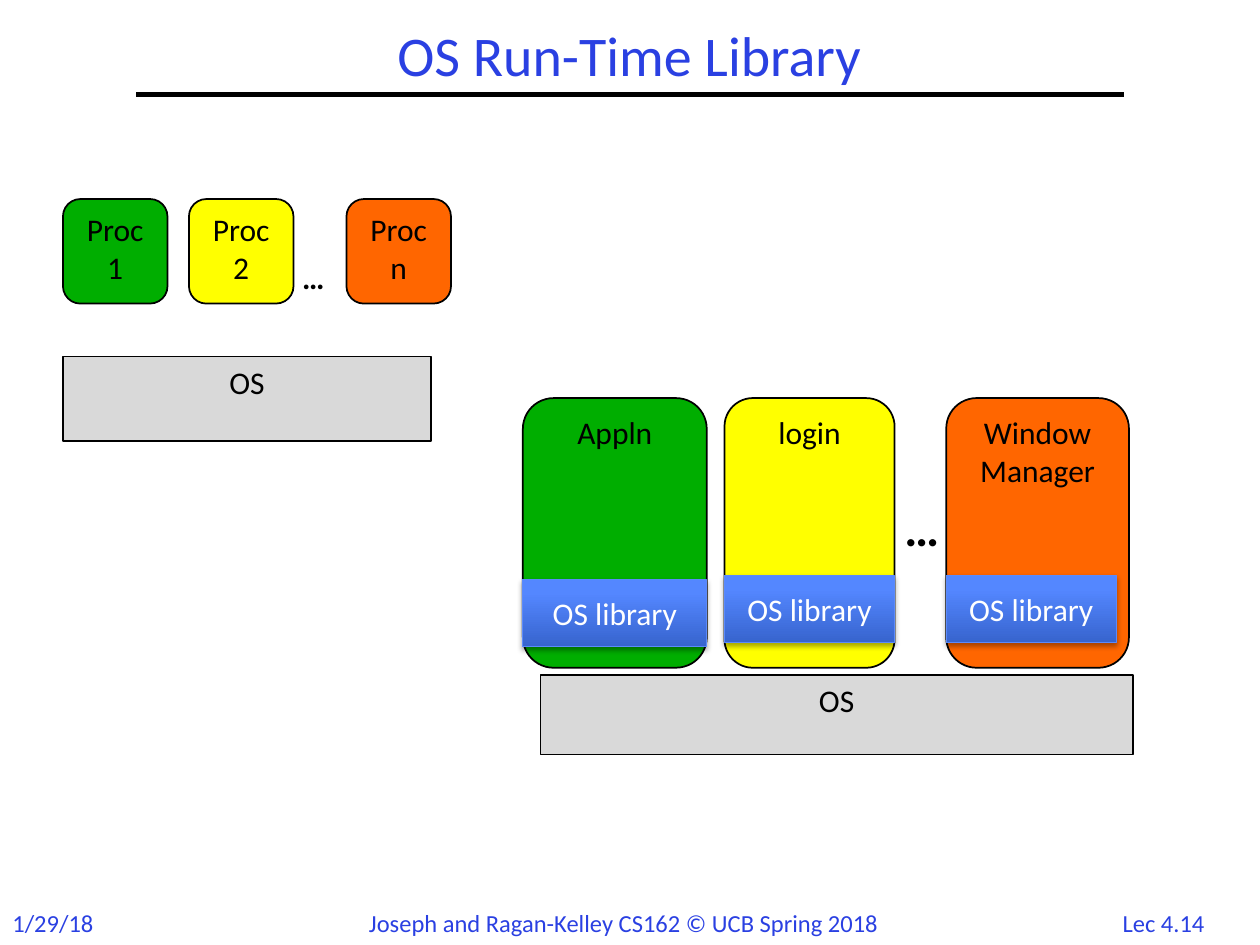
from lxml import etree
from pptx import Presentation
from pptx.dml.color import RGBColor
from pptx.enum.shapes import MSO_CONNECTOR, MSO_SHAPE
from pptx.enum.text import MSO_ANCHOR, PP_ALIGN
from pptx.oxml import parse_xml
from pptx.oxml.ns import nsdecls, qn
from pptx.util import Inches, Pt

RECTANGLE, ROUNDED = MSO_SHAPE.RECTANGLE, MSO_SHAPE.ROUNDED_RECTANGLE
TOP, MIDDLE = MSO_ANCHOR.TOP, MSO_ANCHOR.MIDDLE
LEFT, CENTER = PP_ALIGN.LEFT, PP_ALIGN.CENTER
STRAIGHT = MSO_CONNECTOR.STRAIGHT

COLORS = {name: RGBColor.from_string(value) for name, value in {
    "heading": "2A40E2", "black": "000000", "white": "FFFFFF",
    "gray": "D9D9D9", "green": "00AE00", "yellow": "FFFF00", "orange": "FF6600",
    "library dark": "3764CE", "library light": "5487FF", "library line": "5B8AFB",
}.items()}
SHADOW = (
    f'<a:outerShdw {nsdecls("a")} blurRad="{Pt(3.1)}" dist="{Pt(1.8)}" dir="5400000" '
    'rotWithShape="0"><a:srgbClr val="000000"><a:alpha val="35000"/></a:srgbClr></a:outerShdw>'
)


def write_text(shape, text, size=18, color="black", bold=False,
               align=CENTER, anchor=TOP, wrap=True):
    frame = shape.text_frame
    frame.text = text
    for name, value in {"word_wrap": wrap, "vertical_anchor": anchor}.items():
        setattr(frame, name, value)
    paragraph = frame.paragraphs[0]
    paragraph.alignment = align
    font = paragraph.runs[0].font
    for name, value in {"name": "Calibri", "size": Pt(size), "bold": bold}.items():
        setattr(font, name, value)
    font.color.rgb = COLORS[color]
    return paragraph


def add_box(kind, box, text, fill, line="black", width=1, **text_format):
    shape = slide.shapes.add_shape(kind, *map(Inches, box))
    shape.shadow.inherit = False
    shape.fill.solid()
    shape.fill.fore_color.rgb = COLORS[fill]
    shape.line.color.rgb = COLORS[line]
    shape.line.width = Pt(width)
    write_text(shape, text, **text_format)
    return shape


presentation = Presentation()
presentation.slide_width, presentation.slide_height = Inches(10), Inches(7.5)
slide = presentation.slides.add_slide(presentation.slide_layouts[5])

title = slide.shapes.title
for name, value in {"left": 1.08, "top": 0.17, "width": 7.83, "height": 0.58}.items():
    setattr(title, name, Inches(value))
paragraph = write_text(title, "OS Run-Time Library", 32, "heading", anchor=MIDDLE)
paragraph.line_spacing = 0.9

rule = slide.shapes.add_connector(
    STRAIGHT, Inches(1.08), Inches(0.75), Inches(8.92), Inches(0.75))
rule.line.color.rgb = COLORS["black"]
rule.line.width = Pt(3)
etree.SubElement(rule._element.spPr, qn("a:effectLst"))

footers = [
    (0, 1, "1/29/18", LEFT),
    (2.83, 4.35, "Joseph and Ragan-Kelley CS162 © UCB Spring 2018", LEFT),
    (8.77, 0.93, "Lec 4.14", CENTER),
]
for left, width, text, align in footers:
    footer = slide.shapes.add_textbox(
        Inches(left), Inches(7.16), Inches(width), Inches(0.34))
    write_text(footer, text, 14, "heading", align=align)

add_box(RECTANGLE, (0.5, 2.83, 2.92, 0.67), "OS", "gray")
processes = [(0.5, "Proc 1", "green"), (1.5, "Proc 2", "yellow"), (2.75, "Proc n", "orange")]
for left, text, fill in processes:
    add_box(ROUNDED, (left, 1.58, 0.83, 0.83), text, fill)

add_box(RECTANGLE, (4.29, 5.36, 4.7, 0.63), "OS", "gray")
programs = [
    (4.15, 1.46, "Appln", "green", 4.6, 1.46),
    (5.75, 1.35, "login", "yellow", 4.57, 1.35),
    (7.51, 1.45, "Window Manager", "orange", 4.57, 1.35),
]
for left, width, text, fill, library_top, library_width in programs:
    add_box(ROUNDED, (left, 3.16, width, 2.14), text, fill)
    library = add_box(
        RECTANGLE, (left, library_top, library_width, 0.53), "OS library",
        "library light", "library line", 0.75, color="white", anchor=MIDDLE)
    library.fill.gradient()
    library.fill.gradient_angle = 90
    stops = zip(library.fill.gradient_stops, ("library dark", "library light"), (0, 0.8))
    for stop, color, position in stops:
        stop.color.rgb = COLORS[color]
        stop.position = position
    library._element.spPr.find(qn("a:effectLst")).append(parse_xml(SHADOW))

for box, size, wrap in [((2.3, 2, 0.45, 0.4), 18, False), ((7.08, 3.9, 0.65, 0.57), 28, True)]:
    ellipsis = slide.shapes.add_textbox(*map(Inches, box))
    write_text(ellipsis, "…", size, bold=True, align=LEFT, wrap=wrap)

presentation.save("out.pptx")
